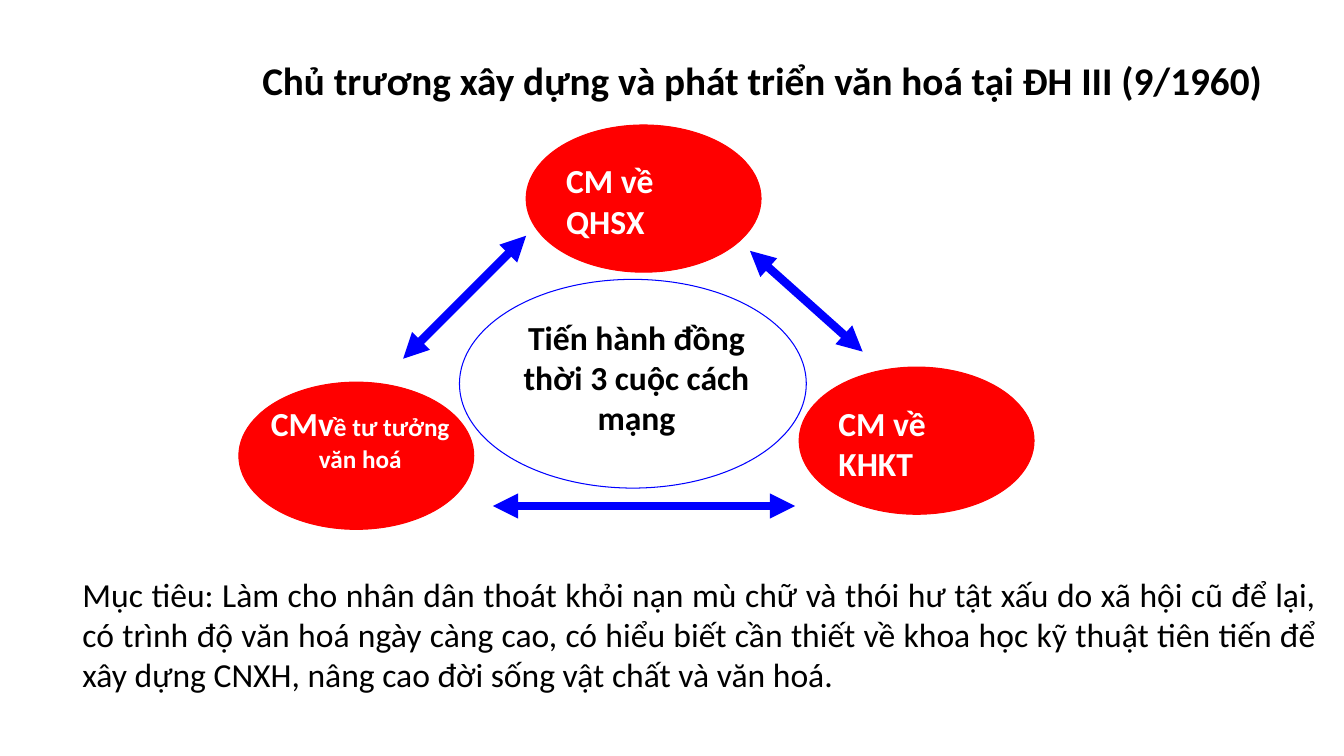
from dataclasses import dataclass

from lxml.etree import SubElement
from pptx import Presentation
from pptx.dml.color import RGBColor
from pptx.enum.shapes import MSO_CONNECTOR, MSO_SHAPE
from pptx.enum.text import MSO_ANCHOR, MSO_AUTO_SIZE, PP_ALIGN
from pptx.oxml.ns import qn
from pptx.slide import Slide
from pptx.text.text import TextFrame
from pptx.util import Cm, Pt


@dataclass(frozen=True)
class Theme:
    font: str = "Calibri"
    black: RGBColor = RGBColor(0, 0, 0)
    white: RGBColor = RGBColor(255, 255, 255)
    red: RGBColor = RGBColor(255, 0, 0)
    blue: RGBColor = RGBColor(0, 0, 255)
    title: int = 28
    body: int = 24
    small: int = 18
    thin: float = 0.75
    thick: int = 6


THEME = Theme()


@dataclass(frozen=True)
class Box:
    left: float
    top: float
    width: float
    height: float

    def place(self) -> tuple[Cm, Cm, Cm, Cm]:
        return Cm(self.left), Cm(self.top), Cm(self.width), Cm(self.height)


@dataclass(frozen=True)
class Oval:
    box: Box
    line: RGBColor
    fill: RGBColor | None = None


@dataclass(frozen=True)
class Label:
    box: Box
    text: str
    align: PP_ALIGN = PP_ALIGN.LEFT
    color: RGBColor = THEME.white
    bold: bool = True
    size: int = THEME.body
    tail: str = ""  # ending set in the small size


@dataclass(frozen=True)
class Arrow:
    x1: float
    y1: float
    x2: float
    y2: float


TITLE = Label(
    Box(5.79, 1.3, 26.82, 1.45),
    "Chủ trương xây dựng và phát triển văn hoá tại ĐH III (9/1960)",
    PP_ALIGN.CENTER, THEME.black, size=THEME.title)

OVALS = [Oval(Box(11.58, 7.04, 8.74, 5.26), THEME.blue)] + [
    Oval(Box(left, top, 5.92, 3.71), THEME.red, THEME.red)
    for left, top in ((13.26, 3.15), (20.14, 9.25), (6.02, 9.63))]

LABELS = [
    Label(Box(12.37, 7.85, 7.34, 3.33), "Tiến hành đồng thời 3 cuộc cách mạng",
          PP_ALIGN.CENTER, THEME.black),
    Label(Box(14.02, 3.91, 4.52, 2.31), "CM về QHSX"),
    Label(Box(20.88, 10.03, 4.52, 2.31), "CM về KHKT"),
    Label(Box(6.4, 10.03, 5.36, 2.06), "CMv", PP_ALIGN.CENTER,
          tail="ề tư tưởng văn hoá"),
    Label(Box(1.83, 14.33, 31.6, 3.33),
          "Mục tiêu: Làm cho nhân dân thoát khỏi nạn mù chữ và thói hư tật xấu "
          "do xã hội cũ để lại, có trình độ văn hoá ngày càng cao, có hiểu biết "
          "cần thiết về khoa học kỹ thuật tiên tiến để xây dựng CNXH, nâng cao "
          "đời sống vật chất và văn hoá.",
          PP_ALIGN.JUSTIFY, THEME.black, bold=False),
]

ARROWS = [
    Arrow(13.26, 5.94, 10.16, 9.04),
    Arrow(18.9, 6.32, 21.74, 8.86),
    Arrow(12.42, 12.75, 20.04, 12.75),
]


def write(frame: TextFrame, label: Label) -> None:
    frame.word_wrap = True
    frame.auto_size = MSO_AUTO_SIZE.NONE
    frame.vertical_anchor = MSO_ANCHOR.TOP
    frame.text = label.text
    para = frame.paragraphs[0]
    para.alignment = label.align
    if label.tail:
        para.add_run().text = label.tail
    for run, size in zip(para.runs, (label.size, THEME.small)):
        run.font.name = THEME.font
        run.font.size = Pt(size)
        run.font.bold = label.bold
        run.font.color.rgb = label.color


def add_title(slide: Slide, label: Label) -> None:
    title = slide.shapes.title
    title.left, title.top, title.width, title.height = label.box.place()
    write(title.text_frame, label)


def add_oval(slide: Slide, oval: Oval) -> None:
    shape = slide.shapes.add_shape(MSO_SHAPE.OVAL, *oval.box.place())
    shape.shadow.inherit = False
    if oval.fill is None:
        shape.fill.background()
    else:
        shape.fill.solid()
        shape.fill.fore_color.rgb = oval.fill
    shape.line.color.rgb = oval.line
    shape.line.width = Pt(THEME.thin)


def add_label(slide: Slide, label: Label) -> None:
    write(slide.shapes.add_textbox(*label.box.place()).text_frame, label)


def add_arrow(slide: Slide, arrow: Arrow) -> None:
    """Draw a straight line with a head at both ends."""
    link = slide.shapes.add_connector(
        MSO_CONNECTOR.STRAIGHT,
        Cm(arrow.x1), Cm(arrow.y1), Cm(arrow.x2), Cm(arrow.y2))
    link.line.color.rgb = THEME.blue
    link.line.width = Pt(THEME.thick)
    line = link.line._get_or_add_ln()
    for end in ("a:headEnd", "a:tailEnd"):
        SubElement(line, qn(end), type="triangle")
    SubElement(link._element.spPr, qn("a:effectLst"))


def main() -> None:
    deck = Presentation()
    deck.slide_width, deck.slide_height = Cm(33.87), Cm(19.05)
    slide = deck.slides.add_slide(deck.slide_layouts[5])
    add_title(slide, TITLE)
    for oval in OVALS:
        add_oval(slide, oval)
    for label in LABELS:
        add_label(slide, label)
    for arrow in ARROWS:
        add_arrow(slide, arrow)
    deck.save("out.pptx")


if __name__ == "__main__":
    main()
